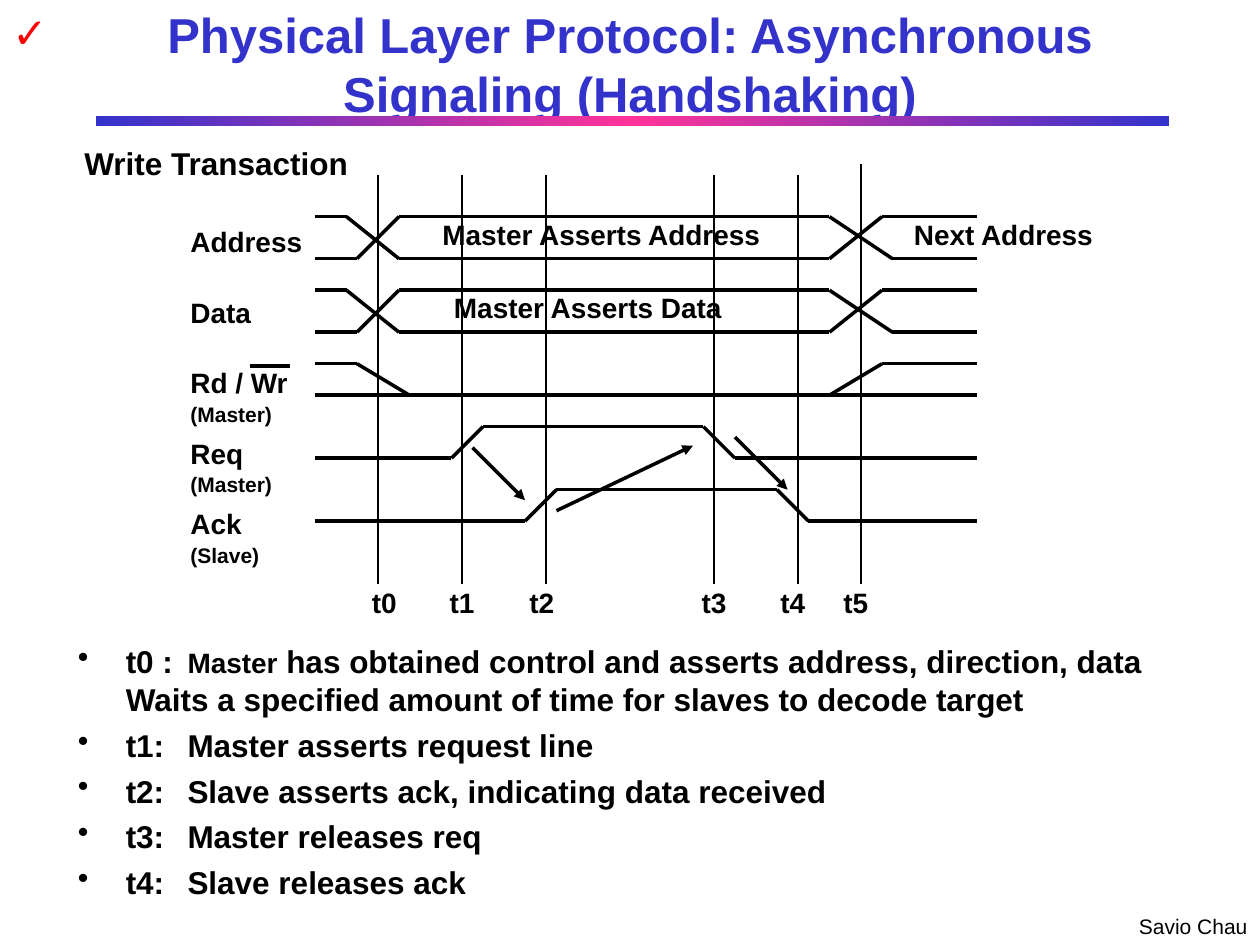
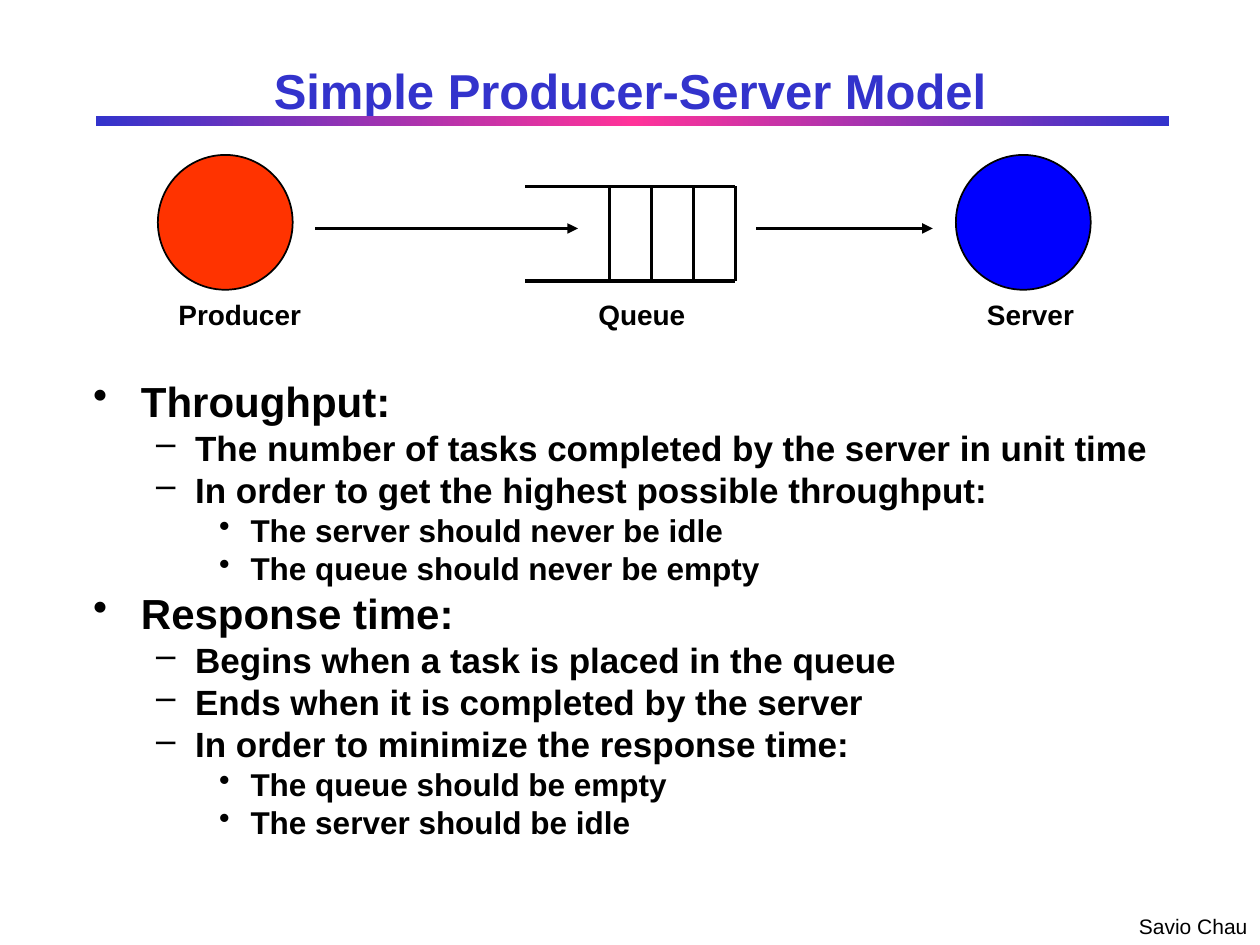
from copy import deepcopy
from dataclasses import dataclass
from itertools import pairwise

from lxml.etree import SubElement
from pptx import Presentation
from pptx.dml.color import RGBColor
from pptx.enum.shapes import MSO_CONNECTOR, MSO_SHAPE
from pptx.enum.text import MSO_ANCHOR, MSO_AUTO_SIZE, PP_ALIGN
from pptx.oxml.ns import qn
from pptx.util import Inches, Pt

WIDTH, HEIGHT = 10, 7.5
FONT = "Arial"
BLACK = RGBColor(0x00, 0x00, 0x00)
TITLE_BLUE = RGBColor(0x33, 0x33, 0xCC)
BAND_PINK = RGBColor(0xFF, 0x33, 0x99)
CHECK_RED = RGBColor(0xFF, 0x00, 0x00)
PRODUCER_RED = RGBColor(0xFF, 0x33, 0x00)
SERVER_BLUE = RGBColor(0x00, 0x00, 0xFF)

INSETS = (0.1, 0.05)
TIGHT = (0.07, 0.03)

TIME_MARKS = [("t0", 6, 6.6), ("t1", 14, 14), ("t2", 22, 21.6),
              ("t3", 38, 38), ("t4", 46, 45.5), ("t5", 52, 51.5)]
BUS_WAVES = [
    [(0, 0), (3, 0), (8, 4), (49, 4), (54, 0), (63, 0)],
    [(0, 4), (4, 4), (8, 0), (49, 0), (55, 4), (63, 4)],
]
CONTROL_WAVES = [
    [(0, 14), (4, 14), (9, 17)],
    [(0, 17), (63, 17)],
    [(49, 17), (54, 14), (63, 14)],
    [(0, 23), (13, 23), (16, 20), (37, 20), (40, 23), (63, 23)],
    [(0, 29), (20, 29), (23, 26), (44, 26), (47, 29), (63, 29)],
]
HANDSHAKES = [((15, 22), (20, 27)), ((23, 28), (36, 21.8)), ((40, 21), (45, 26))]
SIGNALS = [("Address", ""), ("Data", ""), ("Rd / Wr", "(Master)"),
           ("Req", "(Master)"), ("Ack", "(Slave)")]
BUS_CAPTIONS = [("Master Asserts Address", 11.3, 0.2), ("Master Asserts Data", 12.4, 7.2),
                ("Next Address", 56.2, 0.2)]

STEPS = [
    [("t0 :\t", 18), ("Master", 16),
     (" has obtained control and asserts address, direction, data "
      "Waits a specified amount of time for slaves to decode target", 18)],
    [("t1:\tMaster asserts request line", 18)],
    [("t2:\tSlave asserts ack, indicating data received", 18)],
    [("t3:\tMaster releases req", 18)],
    [("t4:\tSlave releases ack", 18)],
]
LEVELS = [("•", 0.38, 0.38, 24, 6), ("–", 0.81, 0.31, 20, 5), ("•", 1.25, 0.25, 18, 4.5)]
METRICS = [
    (0, "Throughput:"),
    (1, "The number of tasks completed by the server in unit time"),
    (1, "In order to get the highest possible throughput:"),
    (2, "The server should never be idle"),
    (2, "The queue should never be empty"),
    (0, "Response time:"),
    (1, "Begins when a task is placed in the queue"),
    (1, "Ends when it is completed by the server"),
    (1, "In order to minimize the response time:"),
    (2, "The queue should be empty"),
    (2, "The server should be idle"),
]


@dataclass
class Grid:
    """A grid of square cells hung from a top left corner."""
    left: float
    top: float
    cell: float = 1 / 12

    def at(self, col, row):
        """Return the inches of a grid point."""
        return self.left + col * self.cell, self.top + row * self.cell


def add_run(p, text, size, color=BLACK, bold=True):
    """Add one formatted run to a paragraph."""
    r = p.add_run()
    r.text = text
    r.font.name, r.font.size, r.font.bold = FONT, Pt(size), bold
    r.font.color.rgb = color


def set_frame(tf, insets=INSETS):
    """Fix the wrapping and insets of a text frame."""
    tf.word_wrap = True
    tf.auto_size = MSO_AUTO_SIZE.NONE
    tf.margin_left = tf.margin_right = Inches(insets[0])
    tf.margin_top = tf.margin_bottom = Inches(insets[1])


def add_box(s, box, insets=INSETS):
    """Add an empty text box and return its frame."""
    tf = s.shapes.add_textbox(*map(Inches, box)).text_frame
    set_frame(tf, insets)
    return tf


def add_label(s, box, text, size=16, color=BLACK, bold=True, align=PP_ALIGN.LEFT,
              insets=INSETS, spacing=None):
    """Add a one-line label."""
    p = add_box(s, box, insets).paragraphs[0]
    p.alignment, p.line_spacing = align, spacing
    add_run(p, text, size, color, bold)


def add_line(s, start, end, width=2, arrow=False):
    """Add a straight black line, with an arrowhead if asked."""
    c = s.shapes.add_connector(MSO_CONNECTOR.STRAIGHT, *map(Inches, (*start, *end)))
    c.line.color.rgb, c.line.width = BLACK, Pt(width)
    spPr = c._element.spPr
    if arrow:
        SubElement(spPr.find(qn("a:ln")), qn("a:tailEnd"), type="triangle")
    SubElement(spPr, qn("a:effectLst"))


def add_wave(s, grid, points, drop=0):
    """Draw a signal through grid points, lowered by some rows."""
    for start, end in pairwise([grid.at(col, row + drop) for col, row in points]):
        add_line(s, start, end)


def set_bullet(p, char, margin, hang, before, tab=None):
    """Give a paragraph a hanging bullet and an optional tab stop."""
    p.space_before = Pt(before)
    pPr = p._p.get_or_add_pPr()
    pPr.set("marL", str(Inches(margin)))
    pPr.set("indent", str(-Inches(hang)))
    SubElement(pPr, qn("a:buChar"), char=char)
    if tab:
        tabs = SubElement(pPr, qn("a:tabLst"))
        SubElement(tabs, qn("a:tab"), pos=str(Inches(tab)), algn="l")


def add_band(s, box):
    """Add the gradient band under the title."""
    sp = s.shapes.add_shape(MSO_SHAPE.RECTANGLE, *map(Inches, box))
    sp.shadow.inherit = False
    sp.line.fill.background()
    sp.fill.gradient()
    sp.fill.gradient_angle = 0
    stops = sp._element.spPr.find(".//" + qn("a:gsLst"))
    stops.insert(1, deepcopy(stops[0]))
    colors = (TITLE_BLUE, BAND_PINK, TITLE_BLUE)
    for i, (stop, color) in enumerate(zip(sp.fill.gradient_stops, colors)):
        stop.position, stop.color.rgb = i / 2, color


def add_slide(prs, title, box):
    """Start a slide with band, footer and title."""
    s = prs.slides.add_slide(prs.slide_layouts[5])
    add_band(s, (0.76, 0.92, 8.52, 0.08))
    add_label(s, (WIDTH - 1.5, HEIGHT - 0.3, 1.5, 0.3), "Savio Chau", 12,
              bold=False, align=PP_ALIGN.RIGHT)
    sp = s.shapes.title
    sp.left, sp.top, sp.width, sp.height = map(Inches, box)
    tf = sp.text_frame
    set_frame(tf)
    tf.vertical_anchor = MSO_ANCHOR.MIDDLE
    p = tf.paragraphs[0]
    p.alignment = PP_ALIGN.CENTER
    add_run(p, title, 28, TITLE_BLUE)
    return s


def add_signal_names(s, grid):
    """Name the five signals at the left of the diagram."""
    for i, (name, driver) in enumerate(SIGNALS):
        tf = add_box(s, (*grid.at(-12.7, 0.4 + 6.72 * i), 1.1, 0.53), TIGHT)
        add_run(tf.paragraphs[0], name, 16)
        if driver:
            p = tf.add_paragraph()
            p.space_before = Pt(1)
            add_run(p, driver, 12)
    add_line(s, grid.at(-6.2, 14.2), grid.at(-2.4, 14.2))


def add_timing_diagram(s, grid):
    """Draw the waveforms, time marks and handshake arrows."""
    for name, col, label_col in TIME_MARKS:
        add_line(s, grid.at(col, -5 if name == "t5" else -4), grid.at(col, 35), 1)
        add_label(s, (*grid.at(label_col - 3, 35.3), 0.5, 0.28), name,
                  align=PP_ALIGN.CENTER, insets=TIGHT, spacing=0.85)
    for drop in (0, 7):
        for points in BUS_WAVES:
            add_wave(s, grid, points, drop)
    for points in CONTROL_WAVES:
        add_wave(s, grid, points)
    for start, end in HANDSHAKES:
        add_line(s, grid.at(*start), grid.at(*end), arrow=True)
    for text, col, row in BUS_CAPTIONS:
        add_label(s, (*grid.at(col, row), 2.8, 0.28), text, insets=TIGHT, spacing=0.85)
    add_signal_names(s, grid)


def add_steps(s, box):
    """List what happens at each time mark."""
    tf = add_box(s, box)
    for i, runs in enumerate(STEPS):
        p = tf.add_paragraph() if i else tf.paragraphs[0]
        set_bullet(p, "•", 0.38, 0.38, 4.5, tab=0.87)
        for text, size in runs:
            add_run(p, text, size)


def add_metrics(s, box):
    """List the two performance measures in three levels."""
    tf = add_box(s, box)
    for i, (level, text) in enumerate(METRICS):
        char, margin, hang, size, before = LEVELS[level]
        p = tf.add_paragraph() if i else tf.paragraphs[0]
        p.level, p.line_spacing = level, 0.8
        set_bullet(p, char, margin, hang, before)
        add_run(p, text, size)


def add_queue_model(s, grid):
    """Draw the producer, the queue and the server."""
    for col, color in ((-35, PRODUCER_RED), (41, SERVER_BLUE)):
        sp = s.shapes.add_shape(MSO_SHAPE.OVAL, *map(Inches, (*grid.at(col, -3), 1.07, 1.07)))
        sp.shadow.inherit = False
        sp.fill.solid()
        sp.fill.fore_color.rgb = color
        sp.line.color.rgb, sp.line.width = BLACK, Pt(1)
    for row in (0, 9):
        add_line(s, grid.at(0, row), grid.at(20, row))
    for col in range(8, 21, 4):
        add_line(s, grid.at(col, 0), grid.at(col, 9))
    for start, end in ((-20, 5), (22, 38.8)):
        add_line(s, grid.at(start, 4), grid.at(end, 4), arrow=True)
    for name, center in (("Producer", -27.2), ("Queue", 11.1), ("Server", 48.1)):
        add_label(s, (*grid.at(center - 9, 10), 1.5, 0.36), name, align=PP_ALIGN.CENTER)


def handshake_slide(prs):
    """Build the asynchronous signaling slide."""
    s = add_slide(prs, "Physical Layer Protocol: Asynchronous Signaling (Handshaking)",
                  (0.48, 0, 9.04, 1))
    add_label(s, (0, 0, 0.47, 0.5), "✓", 24, CHECK_RED)
    add_label(s, (0.6, 1.16, 2.4, 0.31), "Write Transaction", 18, insets=TIGHT, spacing=0.85)
    add_timing_diagram(s, Grid(2.5, 1.72))
    add_steps(s, (0.52, 5.05, 8.96, 2.16))


def producer_server_slide(prs):
    """Build the producer-server slide."""
    s = add_slide(prs, "Simple Producer-Server Model", (0.75, 0.42, 8.5, 0.58))
    add_queue_model(s, Grid(4.17, 1.48))
    add_metrics(s, (0.64, 3.01, 8.82, 4.08))


def main():
    """Build and save the presentation."""
    prs = Presentation()
    prs.slide_width, prs.slide_height = Inches(WIDTH), Inches(HEIGHT)
    handshake_slide(prs)
    producer_server_slide(prs)
    prs.save("out.pptx")


if __name__ == "__main__":
    main()
